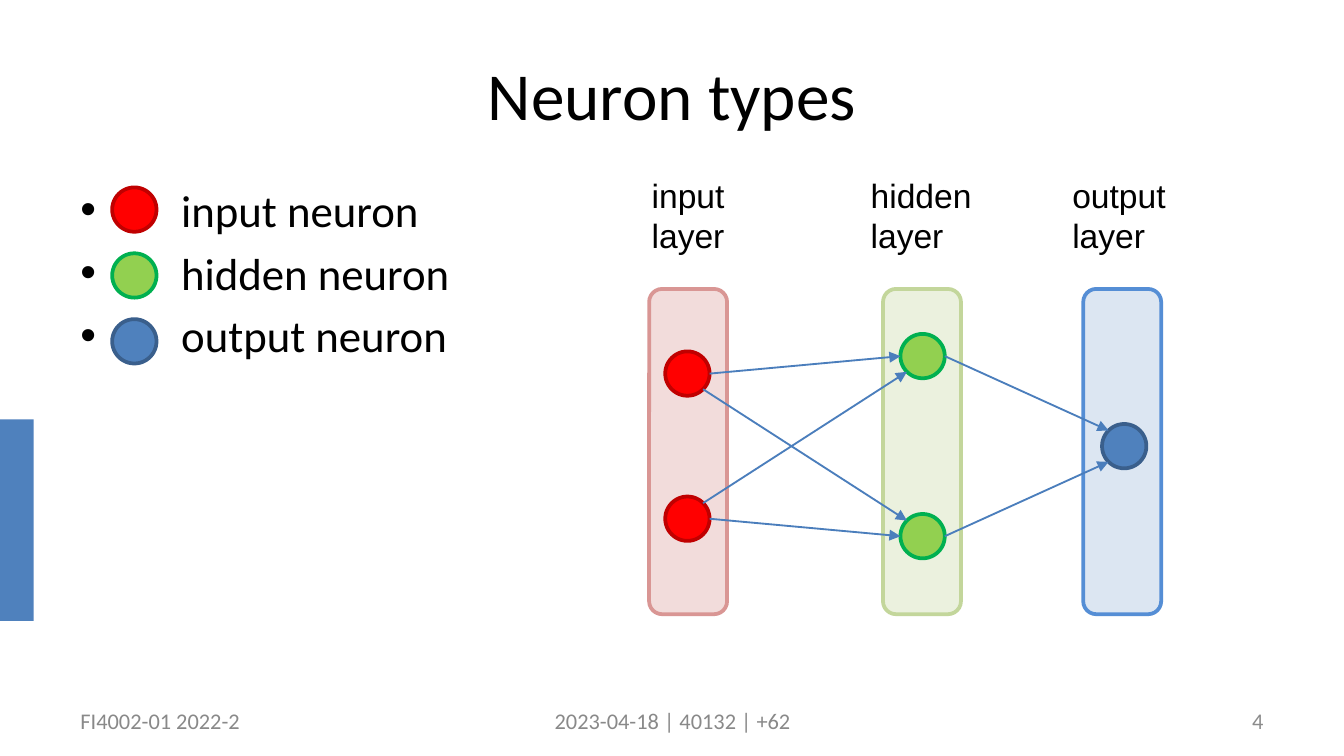
import math
from pptx import Presentation
from pptx import util as u
from pptx.dml import color
from pptx.enum import shapes, text
from pptx.oxml import ns
from lxml import etree

NEURON = 0.33
STYLES = {"input": ("FF0000", "C00000"), "hidden": ("92D050", "00B050"),
          "output": ("4F81BD", "3A5F8C")}
ALIGN, ANCHOR = text.PP_ALIGN, text.MSO_ANCHOR


def paint(target, value):
    """Give a fill, or the fill of a line, a solid colour from a hex string."""
    target.solid()
    target.fore_color.rgb = color.RGBColor.from_string(value)


def add_bullet(para, indent):
    """Give a paragraph a round bullet and a hanging indent in inches."""
    props = para._p.get_or_add_pPr()
    props.set("marL", str(u.Inches(indent)))
    props.set("indent", str(-u.Inches(indent)))
    etree.SubElement(props, ns.qn("a:buFont"), typeface="Arial")
    etree.SubElement(props, ns.qn("a:buChar"), char="•")


def write(shape, lines, size=18, face="Calibri", ink="000000", align=ALIGN.LEFT,
          anchor=ANCHOR.TOP, gap=0, indent=None):
    """Fill a shape with one formatted paragraph per line."""
    frame = shape.text_frame
    frame.word_wrap = True
    frame.vertical_anchor = anchor
    for index, line in enumerate(lines):
        para = frame.add_paragraph() if index else frame.paragraphs[0]
        para.alignment = align
        if index and gap:
            para.space_before = u.Pt(gap)
        if indent:
            add_bullet(para, indent)
        span = para.add_run()
        span.text = line
        span.font.size = u.Pt(size)
        span.font.name = face
        paint(span.font.fill, ink)


def add_text(page, box, lines, **style):
    """Add a text box at (left, top, width, height) in inches."""
    shape = page.shapes.add_textbox(*map(u.Inches, box))
    write(shape, lines, **style)


def add_block(page, kind, box, fill, line=None):
    """Add a flat preset shape with an optional 2 pt outline."""
    shape = page.shapes.add_shape(kind, *map(u.Inches, box))
    shape.shadow.inherit = False
    paint(shape.fill, fill)
    if line:
        paint(shape.line.fill, line)
        shape.line.width = u.Pt(2)
    else:
        shape.line.fill.background()


def add_neuron(page, centre, kind):
    """Add a neuron of the given kind around its centre."""
    x, y = centre
    box = (x - NEURON / 2, y - NEURON / 2, NEURON, NEURON)
    add_block(page, shapes.MSO_SHAPE.OVAL, box, *STYLES[kind])


def rim(centre, angle):
    """Return the point on a neuron's edge at an angle in degrees."""
    turn = math.radians(angle)
    return (centre[0] + NEURON / 2 * math.cos(turn),
            centre[1] + NEURON / 2 * math.sin(turn))


def add_arrow(page, start, end):
    """Add a thin straight arrow between two points."""
    arrow = page.shapes.add_connector(
        shapes.MSO_CONNECTOR.STRAIGHT, *map(u.Inches, start + end))
    paint(arrow.line.fill, "4B7EBC")
    arrow.line.width = u.Pt(1)
    etree.SubElement(arrow.line._get_or_add_ln(), ns.qn("a:tailEnd"), type="triangle")
    etree.SubElement(arrow._element.spPr, ns.qn("a:effectLst"))


def add_title(page, box, line):
    """Place and fill the title placeholder."""
    title = page.shapes.title
    title.left, title.top, title.width, title.height = map(u.Inches, box)
    write(title, [line], size=36, align=ALIGN.CENTER, anchor=ANCHOR.MIDDLE)


def add_legend(page, box):
    """List the neuron types, each with its coloured neuron."""
    left, top = box[:2]
    add_text(page, box, [f"{kind} neuron" for kind in STYLES],
             size=24, gap=4.8, indent=0.75)
    for row, kind in enumerate(STYLES):
        add_neuron(page, (left + 0.5, top + 0.25 + row * 0.49), kind)


def add_network(page, box):
    """Draw the labelled layers, their neurons and the links between them."""
    left, top, width, height = box
    band_top, band_width = top + 0.9, 0.58
    middle = band_top + 1.17
    layers = [
        ("input", 0, 0.75, 0.08, 0.2, (-0.54, 0.54), "F2DCDB", "D99694"),
        ("hidden", 1.63, 1, 1.82, 1.95, (-0.67, 0.67), "EBF1DE", "C3D69B"),
        ("output", 3.13, width - 3.13, 3.31, 3.45, (0,), "DCE6F2", "558ED5"),
    ]
    centres = {}
    for kind, label_x, label_width, band_x, neuron_x, offsets, fill, line in layers:
        add_text(page, (left + label_x, top, label_width, 0.71),
                 [f"{kind} layer"], face="Arial")
        band = (left + band_x, band_top, band_width, height - 0.9)
        add_block(page, shapes.MSO_SHAPE.ROUNDED_RECTANGLE, band, fill, line)
        centres[kind] = [(left + neuron_x + NEURON / 2, middle + offset)
                         for offset in offsets]
        for centre in centres[kind]:
            add_neuron(page, centre, kind)

    for row, source in enumerate(centres["input"]):
        for column, target in enumerate(centres["hidden"]):
            slant = 45 * (column - row)
            add_arrow(page, rim(source, slant), rim(target, 180 + slant))
    for source, slant in zip(centres["hidden"], (45, -45)):
        add_arrow(page, rim(source, 0), rim(centres["output"][0], 180 + slant))


def add_footer(page, box):
    """Write the course, the date line and the page number."""
    left, top, width, height = box
    parts = [("FI4002-01 2022-2", 0, 2.58, ALIGN.LEFT, "898989"),
             ("2023-04-18 | 40132 | +62", 2.92, 3.17, ALIGN.CENTER, "898989"),
             ("4", width - 2.33, 2.33, ALIGN.RIGHT, "8C8C8C")]
    for line, offset, part_width, align, ink in parts:
        add_text(page, (left + offset, top, part_width, height), [line],
                 size=12, ink=ink, align=align, anchor=ANCHOR.MIDDLE)


def main():
    """Build and save the slide."""
    deck = Presentation()
    deck.slide_width, deck.slide_height = u.Inches(10), u.Inches(10 * 9 / 16)
    page = deck.slides.add_slide(deck.slide_layouts[5])
    add_block(page, shapes.MSO_SHAPE.RECTANGLE, (0, 3.12, 0.25, 1.5), "4F81BD")
    add_title(page, (0.5, 0.23, 9, 0.94), "Neuron types")
    add_legend(page, (0.5, 1.31, 9, 3.71))
    add_network(page, (4.75, 1.25, 4.05, 3.32))
    add_footer(page, (0.5, 5.21, 9, 0.3))
    deck.save("out.pptx")


if __name__ == "__main__":
    main()
